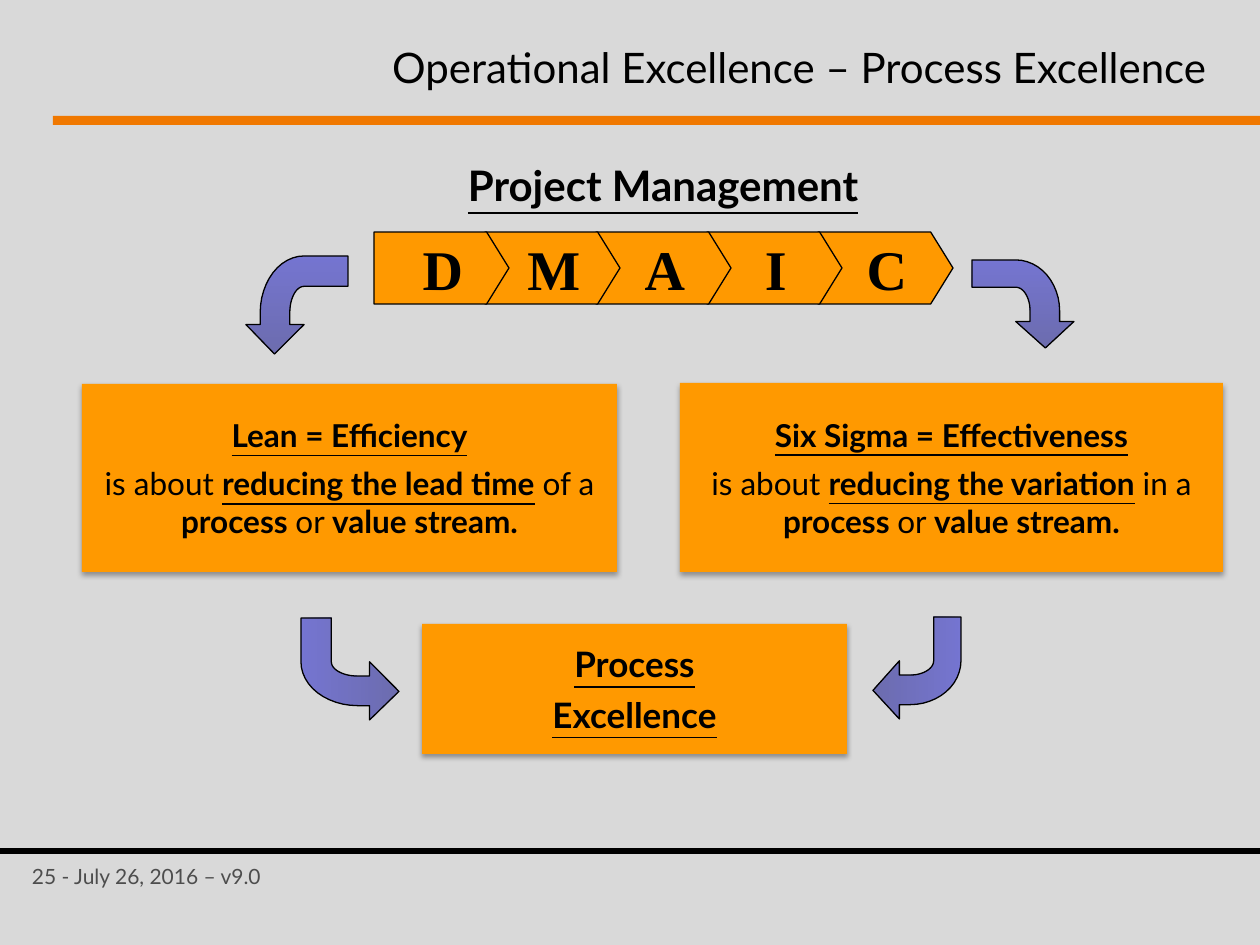
from math import cos, pi, sin
from lxml.etree import SubElement
from pptx import Presentation
from pptx.dml.color import RGBColor as RGB
from pptx.enum.shapes import MSO_SHAPE as Shape
from pptx.enum.text import MSO_ANCHOR as Anchor, PP_ALIGN as Align
from pptx.oxml.ns import qn
from pptx.util import Pt

HUES = {"back": "D9D9D9", "rule": "F07800", "box": "FF9900", "ink": "000000",
        "foot": "4D4D4D", "blue": "3333CC", "navy": "242492"}
PX = 914400 / 126


def emu(*sizes):
    return [round(size * PX) for size in sizes]


def arc(mid, wide, high):
    turns = [pi / 2 * step / 12 for step in range(13)]
    return [(mid[0] - wide * cos(t), mid[1] + high * sin(t)) for t in turns]


BEND = [(0, 0), *arc((0.58, 0.43), 0.58, 0.43), (0.7, 0.86), (0.7, 1), (1, 0.72),
        (0.7, 0.43), (0.7, 0.57), *arc((0.58, 0.43), 0.27, 0.14)[::-1], (0.31, 0)]


class Deck:
    """Holds the style and the current slide, and draws each kind of element."""

    def __init__(self, font="Lato"):
        self.font = font
        self.show = Presentation()
        self.show.slide_width, self.show.slide_height = emu(1260, 945)
        self.slide = self.show.slides.add_slide(self.show.slide_layouts[6])
        self.paint(self.slide.background.fill, "back")

    def paint(self, fill, hue):
        fill.solid()
        fill.fore_color.rgb = RGB.from_string(HUES[hue])

    def edge(self, item):
        item.shadow.inherit = False
        self.paint(item.line.fill, "ink")
        item.line.width = Pt(0.75)

    def text(self, item, lines, size, hue="ink", font=None, align=Align.CENTER,
             gap=0, anchor=Anchor.MIDDLE, left=13):
        frame = item.text_frame
        frame.word_wrap = True
        frame.vertical_anchor = anchor
        frame.margin_left, frame.margin_right = emu(left, 13)
        frame.margin_top, frame.margin_bottom = emu(6, 6)
        for row, parts in enumerate(lines):
            para = frame.add_paragraph() if row else frame.paragraphs[0]
            para.alignment = align
            if row:
                para.space_before = Pt(gap)
            for words, marks in parts:
                run = para.add_run()
                run.text = words
                run.font.name = font or self.font
                run.font.size = Pt(size)
                run.font.bold = "b" in marks
                run.font.underline = "u" in marks
                run.font.color.rgb = RGB.from_string(HUES[hue])
        return frame

    def label(self, place, words, size, marks="", **style):
        item = self.slide.shapes.add_textbox(*emu(*place))
        return self.text(item, [[(words, marks)]], size, **style)

    def bar(self, place, hue, kind=Shape.RECTANGLE):
        item = self.slide.shapes.add_shape(kind, *emu(*place))
        item.shadow.inherit = False
        item.line.fill.background()
        self.paint(item.fill, hue)
        return item

    def card(self, place, lines, size, gap):
        item = self.bar(place, "box")
        glow = SubElement(item._element.spPr.find(qn("a:effectLst")), qn("a:outerShdw"),
                          blurRad=str(Pt(3.1)), dist=str(Pt(1.8)), dir="5400000",
                          algn="t", rotWithShape="0")
        tint = SubElement(glow, qn("a:srgbClr"), val=HUES["ink"])
        SubElement(tint, qn("a:alpha"), val="35000")
        self.text(item, lines, size, gap=gap)

    def step(self, place, letter):
        item = self.bar(place, "box", Shape.PENTAGON)
        item.adjustments[0] = 0.31
        self.edge(item)
        self.text(item, [[(letter, "b")]], 32, font="Times New Roman", left=27)

    def bend(self, place, angle, flip=False, down=False):
        left, top, wide, high = place
        spots = []
        for x, y in BEND:
            if down:
                x, y = y, x
            if flip:
                x = 1 - x
            spots.append(emu(left + x * wide, top + y * high))
        form = self.slide.shapes.build_freeform(*spots[0])
        form.add_line_segments(spots[1:], close=True)
        item = form.convert_to_shape()
        self.edge(item)
        item.fill.gradient()
        item.fill.gradient_angle = angle
        for stop, hue, spot in zip(item.fill.gradient_stops, ("blue", "navy"), (0, 1)):
            stop.color.rgb = RGB.from_string(HUES[hue])
            stop.position = spot
        for tint in item._element.spPr.find(qn("a:gradFill")).iter(qn("a:srgbClr")):
            SubElement(tint, qn("a:alpha"), val="60000")


def claim(head, goal, tail):
    return [[(head, "bu")],
            [("is about ", ""), (goal, "bu"), (tail, ""), ("process ", "b"),
             ("or ", ""), ("value stream.", "b")]]


def main():
    deck = Deck()
    deck.bar((53, 116, 1207, 9), "rule")
    deck.bar((0, 848, 1260, 6), "ink")
    deck.label((19, 858, 319, 38), "25 - July 26, 2016 – v9.0", 12, hue="foot",
               align=Align.LEFT, anchor=Anchor.TOP)
    deck.label((48, 26, 1171, 81), "Operational Excellence – Process Excellence", 24,
               align=Align.RIGHT)
    deck.bend((873, 617, 88, 102), 180, flip=True)
    deck.bend((301, 618, 98, 102), 0)
    deck.card((422, 624, 425, 130), [[("Process", "bu")], [("Excellence", "bu")]], 20, 5)
    deck.bend((972, 260, 102, 88), 270, down=True)
    deck.bend((246, 256, 102, 98), 270, flip=True, down=True)
    deck.card((82, 384, 535, 188),
              claim("Lean = Efficiency", "reducing the lead time", " of a "), 18, 6)
    deck.card((680, 383, 543, 189),
              claim("Six Sigma = Effectiveness", "reducing the variation", " in a "), 18, 6)
    for spot, letter in reversed(list(enumerate("DMAIC"))):
        deck.step((374 + 111 * spot, 232, 135, 72), letter)
    head = deck.label((420, 149, 486, 74), "Project Management", 24, "bu",
                      anchor=Anchor.TOP)
    head.paragraphs[0].line_spacing = 1.1
    deck.show.save("out.pptx")


if __name__ == "__main__":
    main()
